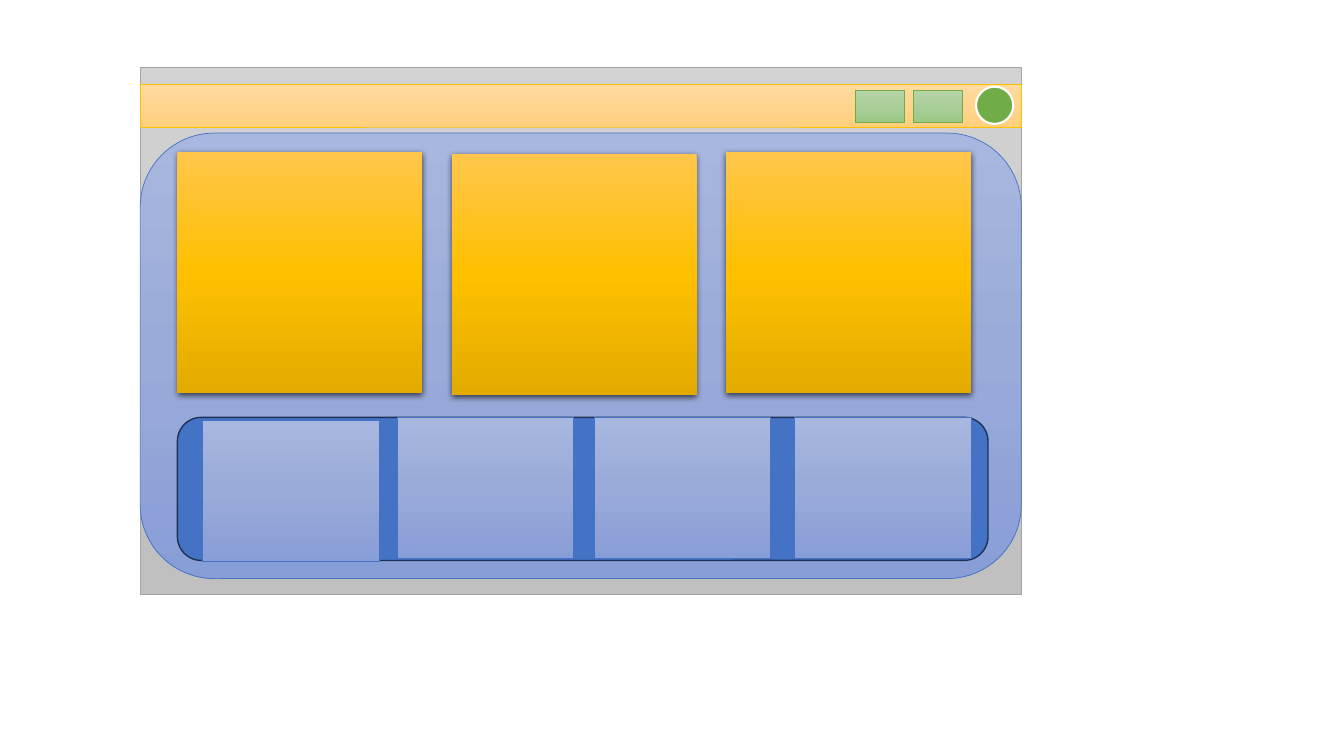
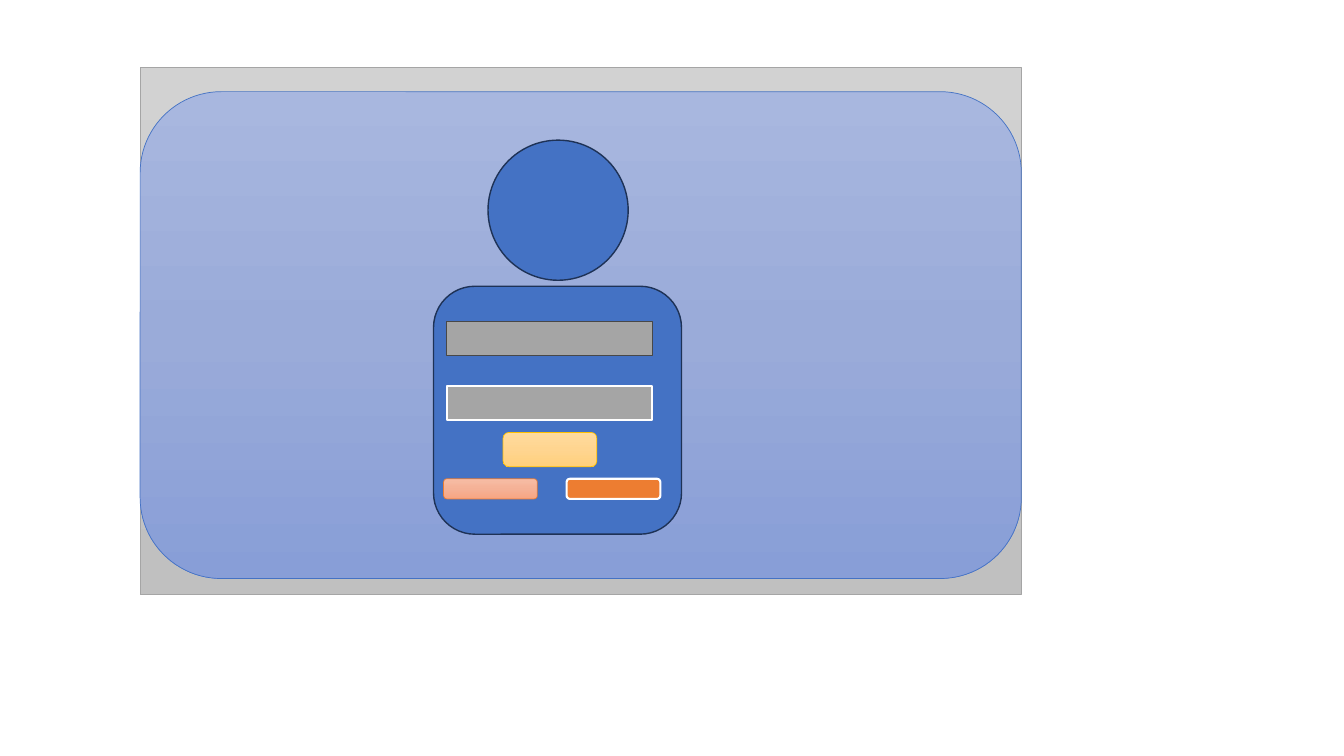
from copy import deepcopy

from lxml.etree import SubElement
from pptx import Presentation
from pptx.dml.color import RGBColor
from pptx.enum.shapes import MSO_SHAPE as SHAPE
from pptx.oxml.ns import qn
from pptx.util import Inches, Pt


def colors(*codes):
    return [RGBColor.from_string(code) for code in codes]


WHITE, BLUE, NAVY, GRAY, CHARCOAL, GOLD, GREEN, ORANGE = colors(
    "FFFFFF", "4472C4", "1E3256", "A5A5A5", "484848", "FFC000", "70AD47", "ED7D31")

STYLES = {
    "frame": (colors("D2D2D2", "C8C8C8", "C0C0C0"), GRAY, 0.5),
    "bar": (colors("FFDB9E", "FFD590", "FFD07C"), GOLD, 0.5),
    "menu": (colors("B5D5A7", "AACE9A", "9CC987"), GREEN, 0.5),
    "panel": (colors("A8B7DF", "9AABD9", "889ED7"), BLUE, 0.5),
    "card": (colors("FFC64B", "FFC000", "E3AB00"), None, 0),
    "link": (colors("F7BDA5", "F5B196", "F8A582"), ORANGE, 0.5),
    "avatar": ([GREEN], WHITE, 1.5),
    "solid": ([BLUE], NAVY, 1),
    "field": ([GRAY], CHARCOAL, 1),
    "field light": ([GRAY], WHITE, 1.5),
    "link light": ([ORANGE], WHITE, 1.5),
}

RECT, ROUND, OVAL = SHAPE.RECTANGLE, SHAPE.ROUNDED_RECTANGLE, SHAPE.OVAL
LEFT, WIDTH = 1.39, 8.74
PANEL_BOTTOM = 5.74

CARD_LEFT, CARD_PITCH = 1.76, 2.72
CARD_TOPS = [1.51, 1.53, 1.51]
TILES = [(2.01, 4.17), (3.94, 4.14), (5.89, 4.14), (7.88, 4.14)]
MENU_LEFTS = [8.48, 9.06]

HOME = [
    (RECT, "bar", LEFT, 0.84, WIDTH, 0.42),
    *[(RECT, "menu", x, 0.9, 0.49, 0.31) for x in MENU_LEFTS],
    (ROUND, "panel", LEFT, 1.32, WIDTH, PANEL_BOTTOM - 1.32),
    *[(RECT, "card", CARD_LEFT + i * CARD_PITCH, y, 2.43, 2.39)
      for i, y in enumerate(CARD_TOPS)],
    (OVAL, "avatar", 9.68, 0.86, 0.37, 0.37),
    (ROUND, "solid", CARD_LEFT, 4.14, 8.04, 1.42),
    *[(RECT, "panel", x, y, 1.75, 1.4) for x, y in TILES],
]

LOGIN = [
    (ROUND, "panel", LEFT, 0.91, WIDTH, PANEL_BOTTOM - 0.91),
    (OVAL, "solid", 4.84, 1.39, 1.39, 1.39),
    (ROUND, "solid", 4.3, 2.84, 2.46, 2.46),
    (RECT, "field", 4.43, 3.19, 2.04, 0.34),
    (RECT, "field light", 4.43, 3.83, 2.04, 0.34),
    (ROUND, "bar", 4.99, 4.29, 0.93, 0.34),
    (ROUND, "link", 4.4, 4.75, 0.93, 0.2),
    (ROUND, "link light", 5.62, 4.75, 0.93, 0.2),
]


def paint(sp, stops):
    fill = sp.fill
    if len(stops) == 1:
        fill.solid()
        fill.fore_color.rgb = stops[0]
        return
    fill.gradient()
    fill.gradient_angle = 270
    stop_list = sp._element.spPr.find(qn("a:gradFill")).find(qn("a:gsLst"))
    stop_list.append(deepcopy(stop_list[0]))
    for i, (stop, color) in enumerate(zip(fill.gradient_stops, stops)):
        stop.position = i / 2
        stop.color.rgb = color


def add_shadow(sp):
    effects = sp._element.spPr.find(qn("a:effectLst"))
    shadow = SubElement(effects, qn("a:outerShdw"), blurRad=str(Pt(4.5)),
                        dist=str(Pt(1.5)), dir="5400000", algn="ctr", rotWithShape="0")
    color = SubElement(shadow, qn("a:srgbClr"), val="000000")
    SubElement(color, qn("a:alpha"), val="63000")


def add_part(slide, kind, style, *box):
    stops, line, weight = STYLES[style]
    sp = slide.shapes.add_shape(kind, *[Inches(v) for v in box])
    sp.shadow.inherit = False
    paint(sp, stops)
    if line is None:
        sp.line.fill.background()
    else:
        sp.line.color.rgb = line
        sp.line.width = Pt(weight)
    if style == "card":
        add_shadow(sp)


def main():
    prs = Presentation()
    prs.slide_width, prs.slide_height = Inches(13.33), Inches(7.5)
    for parts in (HOME, LOGIN):
        slide = prs.slides.add_slide(prs.slide_layouts[6])
        add_part(slide, RECT, "frame", LEFT, 0.67, WIDTH, 5.23)
        for part in parts:
            add_part(slide, *part)
    prs.save("out.pptx")


if __name__ == "__main__":
    main()
